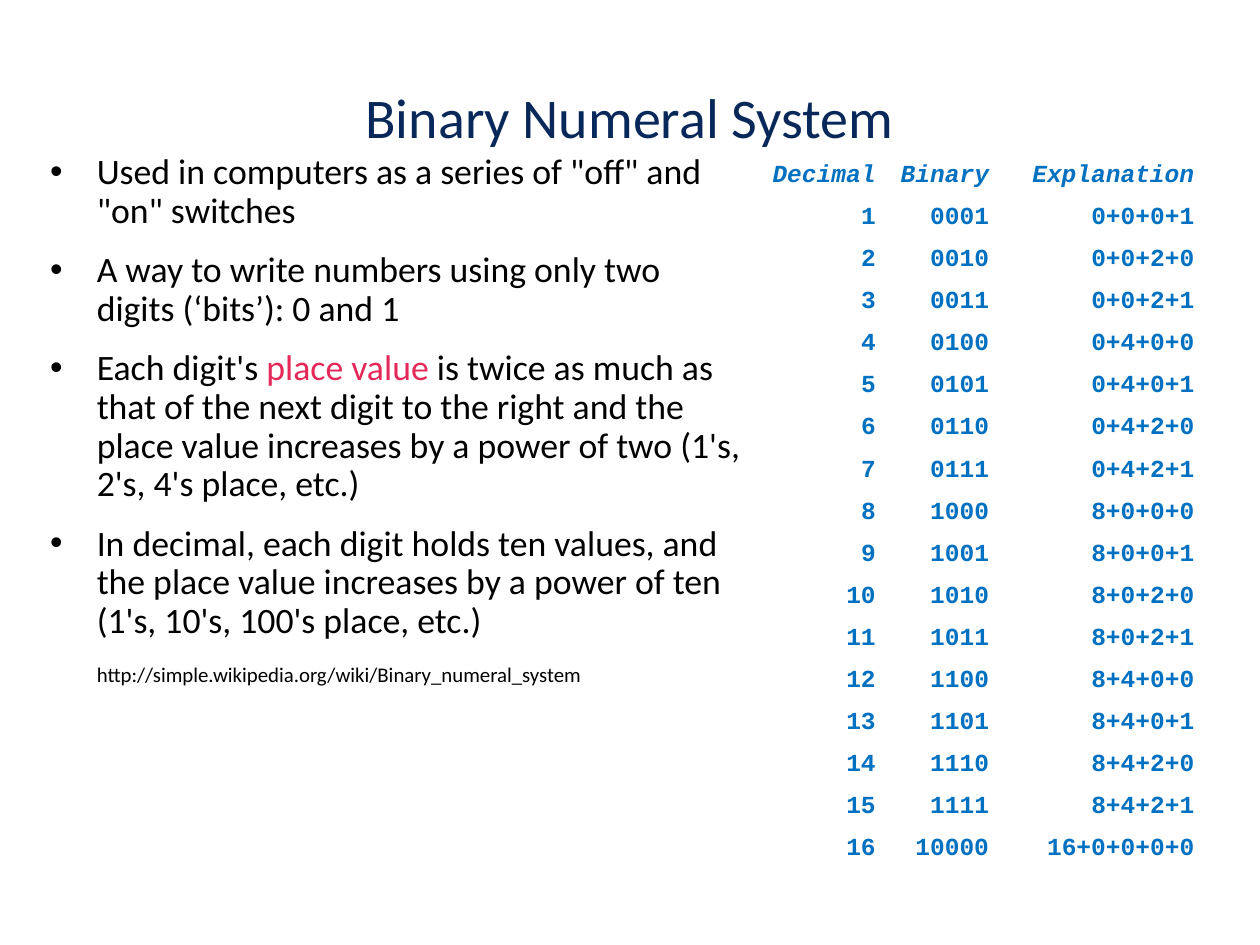
from dataclasses import dataclass

from lxml.etree import SubElement as Sub
from pptx import Presentation
from pptx.dml.color import RGBColor as Color
from pptx.enum.text import MSO_ANCHOR as Anchor, PP_ALIGN as Align
from pptx.oxml.ns import qn
from pptx.util import Inches, Pt


@dataclass(frozen=True)
class Theme:
    sans: str = "Calibri"
    mono: str = "Courier New"
    navy: str = "08285A"
    black: str = "000000"
    pink: str = "E4285A"
    blue: str = "0070C0"
    white: str = "FFFFFF"
    title: float = 32
    body: float = 20.4
    tab: float = 27.2
    link: float = 11.9
    cell: float = 14


class Page:
    """One slide on a grid of 100 columns by 75 rows."""

    def __init__(self, deck, theme):
        self.theme = theme
        self.slide = deck.slides.add_slide(deck.slide_layouts[6])
        self.col = deck.slide_width / 100
        self.row = deck.slide_height / 75

    def place(self, x, y, w, h):
        return [round(n) for n in (x * self.col, y * self.row,
                                   w * self.col, h * self.row)]

    def run(self, para, text, size, color, face=None, bold=False, slant=False):
        run = para.add_run()
        run.text = text
        font = run.font
        font.name, font.size = face or self.theme.sans, Pt(size)
        font.bold, font.italic = bold, slant
        font.color.rgb = Color.from_string(color)

    def box(self, *area):
        frame = self.slide.shapes.add_textbox(*self.place(*area)).text_frame
        frame.word_wrap = True
        return frame

    def title(self, text, *area):
        frame = self.box(*area)
        frame.vertical_anchor = Anchor.MIDDLE
        para = frame.paragraphs[0]
        para.alignment = Align.CENTER
        self.run(para, text, self.theme.title, self.theme.navy)

    def points(self, items, *area):
        """Each item is (bullet, space after, runs of text, size and colour)."""
        frame = self.box(*area)
        for i, (mark, after, runs) in enumerate(items):
            para = frame.add_paragraph() if i else frame.paragraphs[0]
            self.hang(para, mark)
            para.line_spacing, para.space_after = 0.9, Pt(after)
            for text, size, color in runs:
                self.run(para, text, size, color)

    def hang(self, para, mark):
        props = para._p.get_or_add_pPr()
        props.set("marL", str(Inches(0.63)))
        props.set("indent", str(Inches(-0.37)))
        if mark:
            tint = Sub(props, qn("a:buClr"))
            Sub(tint, qn("a:srgbClr"), val=self.theme.black)
            Sub(props, qn("a:buFont"), typeface="Arial")
            Sub(props, qn("a:buChar"), char=mark)
        else:
            Sub(props, qn("a:buNone"))

    def table(self, rows, widths, *area):
        shape = self.slide.shapes.add_table(len(rows), len(widths),
                                            *self.place(*area))
        grid = shape.table
        grid.first_row = grid.horz_banding = False
        for col, width in zip(grid.columns, widths):
            col.width = round(width * self.col)
        for r, row in enumerate(rows):
            for c, text in enumerate(row):
                self.cell(grid.cell(r, c), text, head=r == 0)

    def cell(self, cell, text, head):
        cell.fill.solid()
        cell.fill.fore_color.rgb = Color.from_string(self.theme.white)
        cell.vertical_anchor = Anchor.MIDDLE
        cell.margin_left = cell.margin_right = Inches(0.08)
        cell.margin_top = cell.margin_bottom = Inches(0.05)
        para = cell.text_frame.paragraphs[0]
        para.alignment = Align.RIGHT
        self.run(para, text, self.theme.cell, self.theme.blue,
                 self.theme.mono, bold=True, slant=head)


def count(num):
    """Give a number in decimal, in binary and as a sum of place values."""
    bits = f"{num:04b}"
    parts = [int(bit) << k for k, bit in enumerate(reversed(bits))]
    return str(num), bits, "+".join(str(part) for part in reversed(parts))


def main():
    deck = Presentation()
    deck.slide_width, deck.slide_height = Inches(10), Inches(7.5)
    look = Theme()
    page = Page(deck, look)

    def plain(text):
        return text, look.body, look.black

    page.title("Binary Numeral System", 5, 3, 90, 12.5)
    page.points([
        ("•", 12, [plain('Used in computers as a series of "off" and "on" switches')]),
        ("•", 12, [plain("A way to write numbers using only two digits (‘bits’): 0 and 1")]),
        ("•", 12, [
            plain("Each digit's "),
            ("place value", look.body, look.pink),
            plain(" is twice as much as that of the next digit to the right and "
                  "the place value increases by a power of two "
                  "(1's, 2's, 4's place, etc.)")]),
        ("•", 0, [plain("In decimal, each digit holds ten values, and the place "
                        "value increases by a power of ten "
                        "(1's, 10's, 100's place, etc.)")]),
        (None, 12, [
            ("\t", look.tab, look.black),
            ("http://simple.wikipedia.org/wiki/Binary_numeral_system",
             look.link, look.black)]),
    ], 0.4, 11.7, 59.4, 57.5)
    rows = [("Decimal", "Binary", "Explanation")]
    rows += [count(num) for num in range(1, 17)]
    page.table(rows, (10.1, 9, 16.3), 60.2, 12.3, 35.4, 53.5)
    deck.save("out.pptx")


if __name__ == "__main__":
    main()
